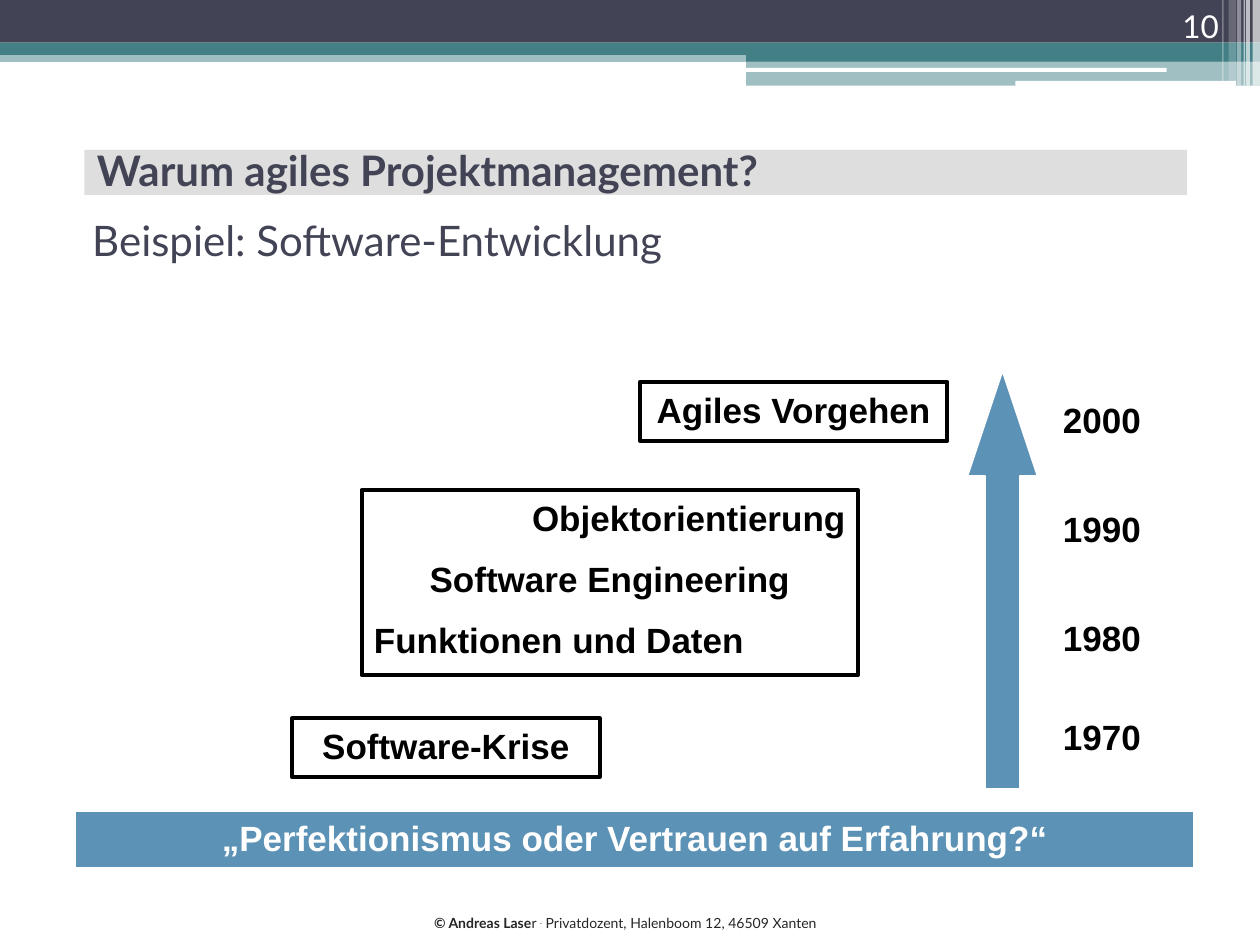
import pptx
import pptx.util
import pptx.dml.color
import pptx.enum.shapes
import pptx.enum.text
import pptx.oxml
from pptx.util import Cm, Pt

SHAPE = pptx.enum.shapes.MSO_SHAPE
ALIGN = pptx.enum.text.PP_ALIGN
ANCHOR = pptx.enum.text.MSO_ANCHOR

COLORS = {
    "navy": "424456", "teal": "438086", "white": "FFFFFF", "grey": "DEDEDE",
    "blue": "5C92B5", "black": "000000", "footer": "262626",
}


def rgb(name):
    return pptx.dml.color.RGBColor.from_string(COLORS[name])


def add_block(slide, box, fill=None, line=None, line_width=2.25, opacity=100, kind=SHAPE.RECTANGLE):
    """Add a preset shape; box is left, top, width, height in cm."""
    block = slide.shapes.add_shape(kind, *map(Cm, box))
    block.shadow.inherit = False
    if fill:
        block.fill.solid()
        block.fill.fore_color.rgb = rgb(fill)
        if opacity < 100:
            color = block.fill._xPr.solidFill[0]
            alpha = pptx.oxml.xmlchemy.OxmlElement("a:alpha")
            alpha.set("val", str(opacity * 1000))
            color.append(alpha)
    else:
        block.fill.background()
    if line:
        block.line.color.rgb = rgb(line)
        block.line.width = Pt(line_width)
    else:
        block.line.fill.background()
    return block


def add_label(slide, box):
    return slide.shapes.add_textbox(*map(Cm, box))


def write(shape, lines, size=20, font="Arial", color="black", bold=True, anchor=ANCHOR.TOP):
    """Fill a shape with (text, alignment) lines."""
    frame = shape.text_frame
    frame.word_wrap = True
    frame.vertical_anchor = anchor
    for index, (text, alignment) in enumerate(lines):
        paragraph = frame.add_paragraph() if index else frame.paragraphs[0]
        paragraph.text = text
        paragraph.alignment = alignment
        if index:
            paragraph.space_before = Pt(11)
        paragraph.font.size = Pt(size)
        paragraph.font.name = font
        paragraph.font.bold = bold
        paragraph.font.color.rgb = rgb(color)


def add_header_band(slide):
    for box, fill, opacity in [
        ((0, 1.02, 25.4, 0.23), "teal", 50),
        ((0, 0, 25.4, 0.86), "navy", 100),
        ((0, 0.86, 25.4, 0.25), "teal", 100),
        ((15.04, 0.99, 10.36, 0.25), "teal", 100),
        ((15.04, 1.22, 10.36, 0.51), "teal", 50),
    ]:
        add_block(slide, box, fill, opacity=opacity)
    for box in [(15.01, 1.37, 8.51, 0.08), (20.47, 1.63, 4.45, 0.1)]:
        add_block(slide, box, "white", kind=SHAPE.ROUNDED_RECTANGLE)
    for left, width, height, opacity in [
        (25.25, 0.15, 1.73, 65), (25.12, 0.08, 1.73, 65), (25.07, 0.03, 1.73, 60),
        (24.94, 0.08, 1.73, 40), (24.77, 0.15, 1.63, 20), (24.64, 0.03, 1.63, 30),
    ]:
        add_block(slide, (left, 0, width, height), "white", opacity=opacity)


def add_footer(slide):
    footer = add_label(slide, (8.5, 18.31, 9.2, 0.61))
    footer.text_frame.word_wrap = True
    paragraph = footer.text_frame.paragraphs[0]
    for text, bold, baseline in [
        ("© Andreas Lase", True, 0), ("r ", False, 0), (".", False, 30),
        (" Privatdozent, Halenboom 12, 46509 Xanten", False, 0),
    ]:
        run = paragraph.add_run()
        run.text = text
        run.font.bold = bold
        if baseline:
            run.font._element.set("baseline", str(baseline * 1000))
    paragraph.font.size = Pt(8)
    paragraph.font.name = "Lato"
    paragraph.font.color.rgb = rgb("footer")


def add_headings(slide):
    add_block(slide, (1.7, 3.02, 22.23, 0.91), "grey")
    title = slide.shapes.title
    title.left, title.top, title.width, title.height = map(Cm, (1.7, 1.93, 22.45, 2.97))
    slide.shapes._spTree.append(title._element)  # in front of the grey bar
    write(title, [("Warum agiles Projektmanagement?", ALIGN.LEFT)],
          24, "Lato", "navy", anchor=ANCHOR.MIDDLE)
    page_number = add_label(slide, (22.71, 0, 2.11, 1.02))
    write(page_number, [("10", ALIGN.RIGHT)], 18, "Lato", "white", False, ANCHOR.BOTTOM)
    subtitle = add_label(slide, (1.61, 3.35, 22.5, 2.97))
    write(subtitle, [("Beispiel: Software-Entwicklung", ALIGN.LEFT)],
          24, "Lato", "navy", False, ANCHOR.MIDDLE)


def add_timeline(slide):
    time_arrow = add_block(slide, (19.51, 7.49, 1.4, 8.41), "blue", "white", 0.75,
                           kind=SHAPE.UP_ARROW)
    time_arrow.adjustments[0] = 0.5
    time_arrow.adjustments[1] = 1.5
    for box, lines in [
        ((12.9, 7.7, 6.2, 1.19), [("Agiles Vorgehen", ALIGN.CENTER)]),
        ((7.29, 9.88, 10.01, 3.73), [("Objektorientierung", ALIGN.RIGHT),
                                     ("Software Engineering", ALIGN.CENTER),
                                     ("Funktionen und Daten", ALIGN.LEFT)]),
        ((5.89, 14.48, 6.2, 1.19), [("Software-Krise", ALIGN.CENTER)]),
    ]:
        write(add_block(slide, box, line="black"), lines)
    for year, top in [("2000", 7.9), ("1990", 10.1), ("1980", 12.3), ("1970", 14.3)]:
        write(add_label(slide, (21.11, top, 2.21, 1.09)), [(year, ALIGN.CENTER)])


def main():
    deck = pptx.Presentation()
    deck.slide_width, deck.slide_height = Cm(25.4), Cm(19.05)
    slide = deck.slides.add_slide(deck.slide_layouts[5])
    add_header_band(slide)
    add_footer(slide)
    add_headings(slide)
    add_timeline(slide)
    question = add_block(slide, (1.5, 16.33, 22.6, 1.19), "blue", "white")
    write(question, [("„Perfektionismus oder Vertrauen auf Erfahrung?“", ALIGN.CENTER)],
          color="white")
    deck.save("out.pptx")


if __name__ == "__main__":
    main()
